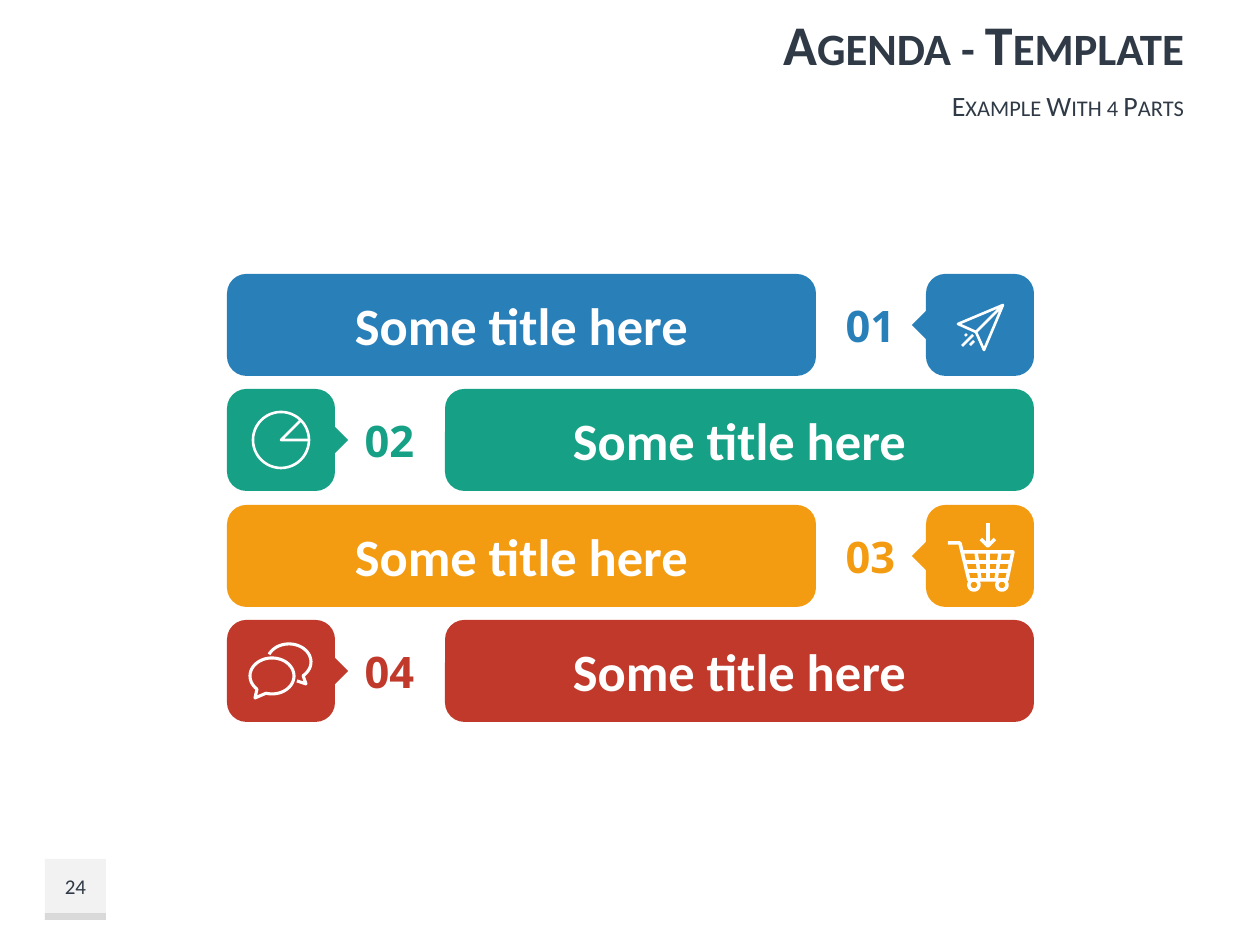
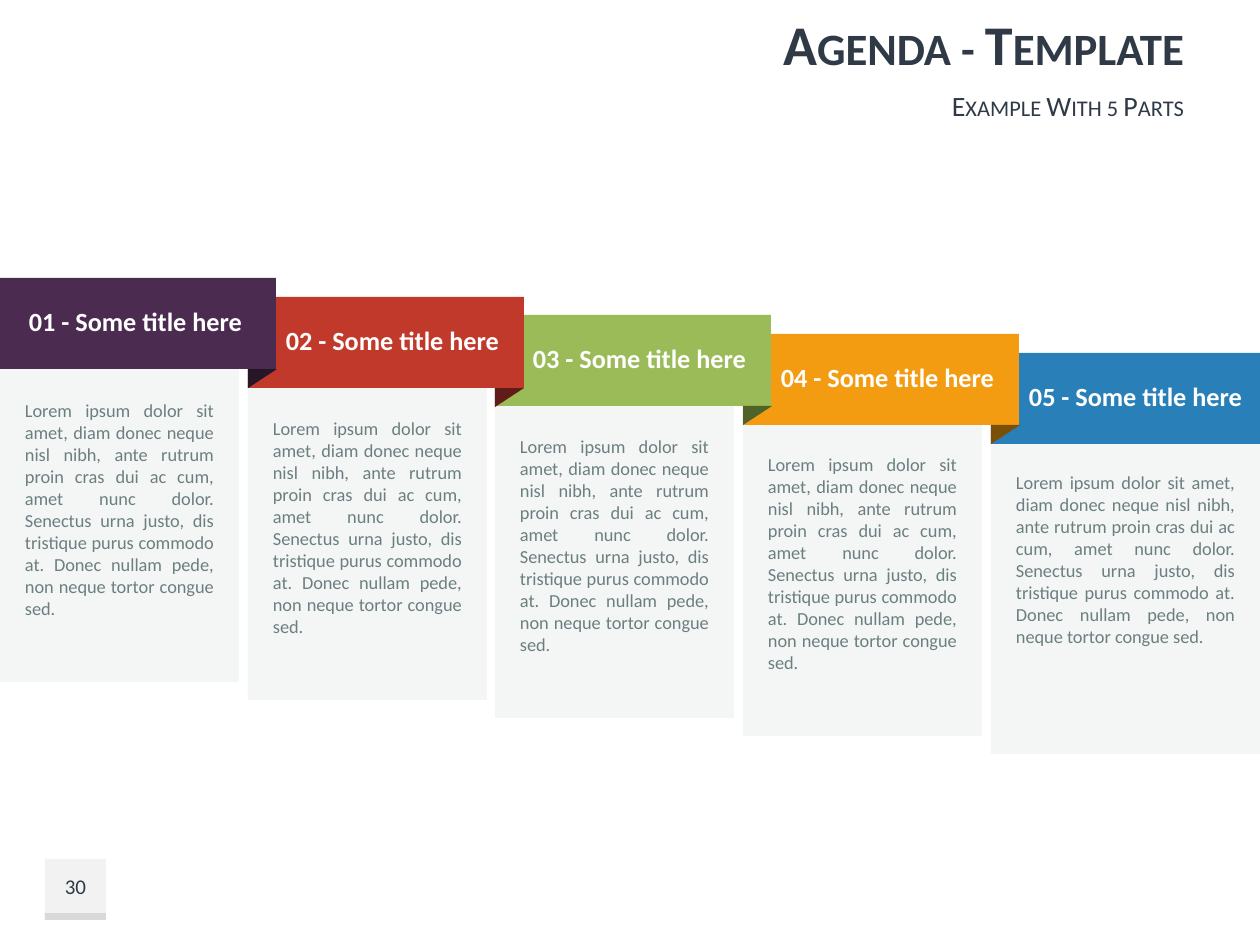
"""Build two agenda template slides, with four and with five parts."""
from math import cos, radians, sin

from lxml import etree
from pptx import Presentation
from pptx.dml.color import RGBColor
from pptx.enum.shapes import MSO_SHAPE
from pptx.enum.text import MSO_ANCHOR, PP_ALIGN
from pptx.oxml.ns import qn
from pptx.util import Pt

RECTANGLE = MSO_SHAPE.RECTANGLE
ROUNDED = MSO_SHAPE.ROUNDED_RECTANGLE
TRIANGLE = MSO_SHAPE.RIGHT_TRIANGLE
LEFT, CENTER, RIGHT, JUSTIFY = PP_ALIGN.LEFT, PP_ALIGN.CENTER, PP_ALIGN.RIGHT, PP_ALIGN.JUSTIFY
TOP, MIDDLE = MSO_ANCHOR.TOP, MSO_ANCHOR.MIDDLE

PX = 914400 / 126
INK, WHITE, BODY_GRAY, PANEL_GRAY = "2F3A46", "FFFFFF", "6C7F80", "95A5A6"
BLUE, TEAL, ORANGE, RED = "2980B9", "16A085", "F39C12", "C0392B"
GREEN, PURPLE = "9BBB59", "4B2C50"


def add_box(slide, preset, left, top, width, height, fill=None, opacity=100, rotation=0):
    box = [round(length * PX) for length in (left, top, width, height)]
    if fill is None:
        return slide.shapes.add_textbox(*box)
    shape = slide.shapes.add_shape(preset, *box)
    shape.shadow.inherit = False
    shape.line.fill.background()
    shape.fill.solid()
    shape.fill.fore_color.rgb = RGBColor.from_string(fill)
    shape.rotation = rotation
    if preset == ROUNDED:
        shape.adjustments[0] = 0.19
    if opacity < 100:
        color = shape._element.spPr.find(qn("a:solidFill"))[0]
        etree.SubElement(color, qn("a:alpha")).set("val", str(opacity * 1000))
    return shape


def write_text(shape, text, size, color, font="Calibri", bold=False, small_caps=False,
               align=CENTER, anchor=MIDDLE, insets=(0, 0, 0, 0), line_spacing=1.0):
    frame = shape.text_frame
    frame.word_wrap = True
    frame.vertical_anchor = anchor
    (frame.margin_left, frame.margin_top,
     frame.margin_right, frame.margin_bottom) = [round(inset * PX) for inset in insets]
    paragraph = frame.paragraphs[0]
    paragraph.alignment = align
    paragraph.line_spacing = line_spacing
    run = paragraph.add_run()
    run.text = text
    run.font.name = font
    run.font.size = Pt(size)
    run.font.bold = bold
    run.font.color.rgb = RGBColor.from_string(color)
    if small_caps:
        run._r.get_or_add_rPr().set("cap", "small")


presentation = Presentation()
presentation.slide_width = round(1260 * PX)
presentation.slide_height = round(945 * PX)

slides = []
for subtitle, page in (("Example With 4 Parts", "24"), ("Example With 5 Parts", "30")):
    slide = presentation.slides.add_slide(presentation.slide_layouts[6])
    add_box(slide, RECTANGLE, 45, 859, 61, 61, "F2F2F2")
    add_box(slide, RECTANGLE, 45, 913, 61, 7, "D9D9D9")
    write_text(add_box(slide, RECTANGLE, 45, 859, 61, 54), page, 12, INK)
    write_text(add_box(slide, RECTANGLE, 402, 0, 795, 86), "Agenda - Template", 32, INK,
               bold=True, small_caps=True, align=RIGHT, insets=(13, 6, 13, 6))
    write_text(add_box(slide, RECTANGLE, 402, 86, 795, 39), subtitle, 16, INK,
               small_caps=True, align=RIGHT, insets=(13, 6, 13, 6))
    slides.append(slide)
four_parts, five_parts = slides

# Each stroke lists points (x, y) or arcs (x, y, x radius, y radius, start, end) in degrees.
plane = [
    [(77, 31), (32, 50), (50, 58), (58, 76), (77, 31), (50, 58)],
    [(47, 61), (36, 72)],
    [(48, 67), (44, 71)],
    [(41, 60), (39, 62)],
]
pie = [[(54, 51, 28, 28, 0, 360)], [(74, 31), (54, 51), (82, 51)]]
cart = [
    [(22, 38), (34, 38), (43, 75), (81, 75), (87, 47), (37, 47)],
    [(40, 57), (84, 57)],
    [(42, 66), (82, 66)],
    [(50, 47), (54, 75)],
    [(62, 47), (62, 75)],
    [(74, 47), (70, 75)],
    [(48, 80, 5, 5, 0, 360)],
    [(76, 80, 5, 5, 0, 360)],
    [(62, 18), (62, 41)],
    [(55, 34), (62, 41), (69, 34)],
]
bubbles = [
    [(45, 56, 22, 18, 133, 466), (28, 78), (30, 69)],
    [(62, 42, 22, 18, 205, 410), (79, 64), (70, 61)],
]

agenda = [(BLUE, plane, 1.5), (TEAL, pie, 1.5), (ORANGE, cart, 2), (RED, bubbles, 1.75)]
for index, (color, icon, weight) in enumerate(agenda):
    top = 274 + round(index * 115.3)
    if index % 2 == 0:
        bar_left, number_left, icon_left, pointer_left = 227, 815, 926, 918
    else:
        bar_left, number_left, icon_left, pointer_left = 445, 334, 227, 312
    number = add_box(four_parts, RECTANGLE, number_left, top, 111, 102)
    write_text(number, f"{index + 1:02}", 24.8, color, font="Open Sans", bold=True,
               insets=(9, 5, 9, 5))
    bar = add_box(four_parts, ROUNDED, bar_left, top, 589, 102, color)
    write_text(bar, "Some title here", 30, WHITE, bold=True, insets=(5, 3, 5, 3))
    add_box(four_parts, ROUNDED, icon_left, top, 108, 102, color)
    add_box(four_parts, RECTANGLE, pointer_left, top + 36, 30, 30, color, rotation=45)
    for stroke in icon:
        points = []
        for x, y, *arc in stroke:
            if arc:
                x_radius, y_radius, start, end = arc
                angles = [radians(start + (end - start) * step / 48) for step in range(49)]
                points += [(x + x_radius * cos(a), y + y_radius * sin(a)) for a in angles]
            else:
                points.append((x, y))
        points = [((icon_left + x) * PX, (top + y) * PX) for x, y in points]
        builder = four_parts.shapes.build_freeform(*points[0])
        builder.add_line_segments(points[1:], close=len(stroke[0]) == 6 and stroke is not bubbles[1])
        outline = builder.convert_to_shape()
        outline.shadow.inherit = False
        outline.fill.background()
        outline.line.color.rgb = RGBColor.from_string(WHITE)
        outline.line.width = Pt(weight)

LOREM = ("Lorem ipsum dolor sit amet, diam donec neque nisl nibh, ante rutrum proin cras dui "
         "ac cum, amet nunc dolor. Senectus urna justo, dis tristique purus commodo at. "
         "Donec nullam pede, non neque tortor congue sed.")
ribbons = [(PURPLE, "261628"), (RED, "601C16"), (GREEN, "4F6228"), (ORANGE, "7C4F06"), (BLUE, None)]
for index, (color, fold_color) in reversed(list(enumerate(ribbons))):
    left = round(index * 247.7)
    banner_top = 278 + round(index * 18.7)
    is_last = fold_color is None
    panel = add_box(five_parts, RECTANGLE, left, 361 + index * 18, 269 if is_last else 239, 321,
                    PANEL_GRAY, opacity=10)
    write_text(panel, LOREM, 10.5, BODY_GRAY, align=JUSTIFY, anchor=TOP, insets=(25, 38, 25, 25))
    banner = add_box(five_parts, RECTANGLE, left, banner_top, 269 if is_last else 276, 91, color)
    write_text(banner, f"{index + 1:02} - Some title here", 15, WHITE, bold=True, align=LEFT,
               insets=(38 if index else 29, 0, 0, 0), line_spacing=0.9)

for index, (color, fold_color) in enumerate(ribbons[:-1]):
    fold_left = round((index + 1) * 247.7) + 5
    fold_top = 364 + round(index * 18.7)
    add_box(five_parts, TRIANGLE, fold_left, fold_top, 19, 29, fold_color, rotation=90)

presentation.save("out.pptx")
